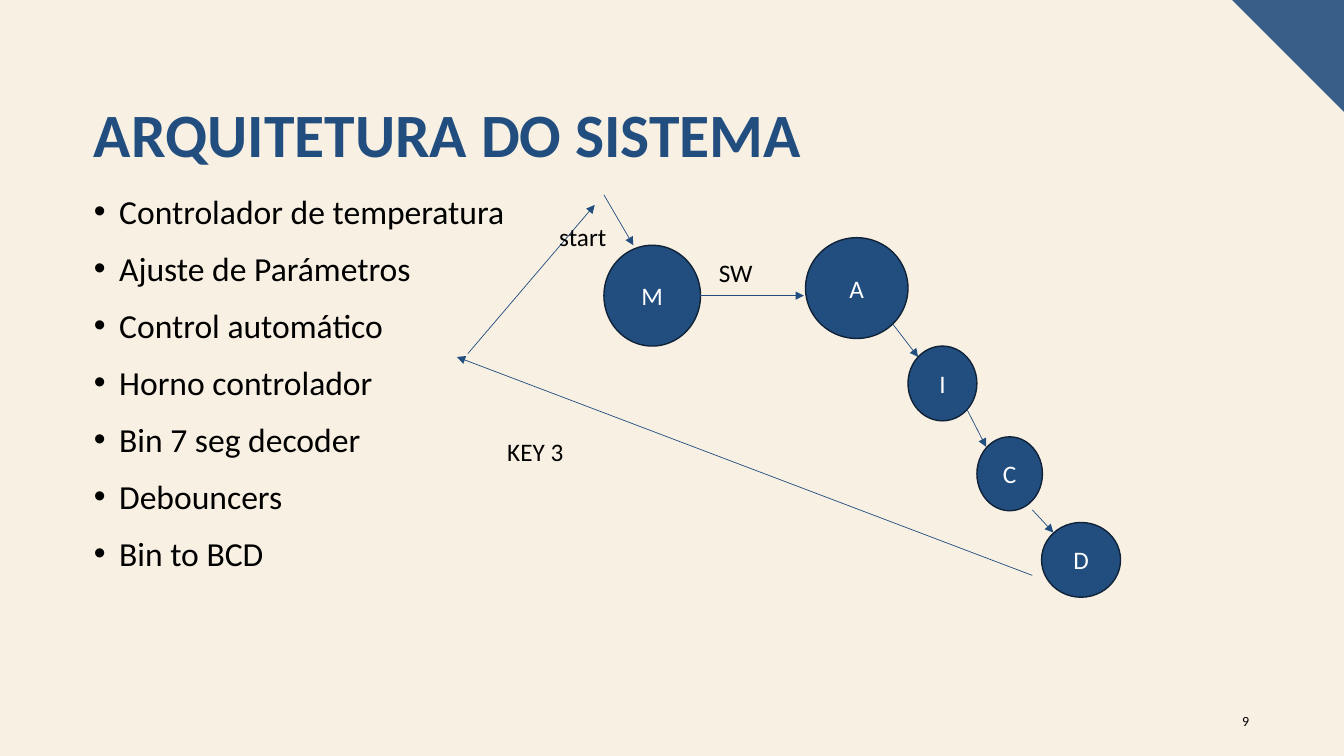
"""Build the system architecture slide with its module list and state diagram."""
from lxml.etree import SubElement
from pptx import Presentation
from pptx.dml.color import RGBColor
from pptx.enum.shapes import MSO_CONNECTOR, MSO_SHAPE
from pptx.enum.text import MSO_ANCHOR, PP_ALIGN
from pptx.oxml.ns import qn
from pptx.util import Inches, Pt

CELL = Inches(1 / 12)
COLUMNS, ROWS = 160, 90
MARGIN = 10
CORNER = 13.33
LABEL_HEIGHT = 4.8

CREAM, NAVY, STEEL = "F8F0E3", "224E7F", "385E88"
OUTLINE, BLACK, WHITE = "0F2238", "000000", "FFFFFF"

MODULES = [
    "Controlador de temperatura",
    "Ajuste de Parámetros",
    "Control automático",
    "Horno controlador",
    "Bin 7 seg decoder",
    "Debouncers",
    "Bin to BCD",
]
STATES = [
    ("M", 71.9, 29.2, 11.5, 12),
    ("A", 95.9, 28.3, 12.2, 12),
    ("I", 108.1, 41.2, 8.2, 8.9),
    ("C", 116.3, 52, 7.8, 8.8),
    ("D", 124, 62.2, 9.4, 8.9),
]
TRANSITIONS = [
    (71.9, 23.2, 75.4, 29.2),
    (83.3, 35.2, 95.7, 35.2),
    (106.3, 38.6, 109.3, 42.5),
    (115.1, 48.7, 117.4, 53.2),
    (122.9, 60.7, 125.4, 63.4),
    (122.9, 68.5, 54.4, 42.5),
    (55.7, 42.1, 70.8, 24.4),
]
LABELS = [
    ("start", 65.4, 25.8, 13.2),
    ("SW", 84.4, 30.1, 10.1),
    ("KEY 3", 59.2, 51.4, 10.4),
]


def grid(*cells):
    """Turn grid columns and rows into slide lengths."""
    return [round(cell * CELL) for cell in cells]


def color(code):
    """Return the colour for a hex string."""
    return RGBColor.from_string(code)


def format_text(text_frame, size, code, bold=False):
    """Give every run the same font."""
    for paragraph in text_frame.paragraphs:
        for run in paragraph.runs:
            run.font.name = "Calibri"
            run.font.size = Pt(size)
            run.font.bold = bold
            run.font.color.rgb = color(code)


def add_text(slide, text, box, size, code=BLACK, bold=False):
    """Add a wrapping text box and return its text frame."""
    text_frame = slide.shapes.add_textbox(*grid(*box)).text_frame
    text_frame.word_wrap = True
    text_frame.text = text
    format_text(text_frame, size, code, bold)
    return text_frame


def add_bullets(slide, items, box):
    """Add a bulleted list with hanging indents."""
    text_frame = add_text(slide, "\n".join(items), box, 24)
    for paragraph in text_frame.paragraphs:
        paragraph.space_after = Pt(12)
        properties = paragraph._p.get_or_add_pPr()
        properties.set("marL", str(Inches(0.25)))
        properties.set("indent", str(-Inches(0.25)))
        SubElement(properties, qn("a:buFont")).set("typeface", "Arial")
        SubElement(properties, qn("a:buChar")).set("char", "•")


def add_state(slide, name, *box):
    """Add one state as a labelled ellipse."""
    shape = slide.shapes.add_shape(MSO_SHAPE.OVAL, *grid(*box))
    shape.shadow.inherit = False
    shape.fill.solid()
    shape.fill.fore_color.rgb = color(NAVY)
    shape.line.color.rgb = color(OUTLINE)
    shape.line.width = Pt(1)
    text_frame = shape.text_frame
    text_frame.text = name
    text_frame.vertical_anchor = MSO_ANCHOR.MIDDLE
    text_frame.paragraphs[0].alignment = PP_ALIGN.CENTER
    format_text(text_frame, 18, WHITE)


def add_arrow(slide, *ends):
    """Add a thin arrow pointing at its second end."""
    arrow = slide.shapes.add_connector(MSO_CONNECTOR.STRAIGHT, *grid(*ends))
    arrow.line.color.rgb = color(NAVY)
    arrow.line.width = Pt(0.5)
    SubElement(arrow.line._get_or_add_ln(), qn("a:tailEnd")).set("type", "triangle")
    SubElement(arrow._element.spPr, qn("a:effectLst"))


def add_corner(slide):
    """Add the triangle in the top right corner."""
    left = COLUMNS - CORNER
    builder = slide.shapes.build_freeform(*grid(left, 0))
    builder.add_line_segments([grid(COLUMNS, 0), grid(COLUMNS, CORNER)], close=True)
    shape = builder.convert_to_shape()
    shape.shadow.inherit = False
    shape.fill.solid()
    shape.fill.fore_color.rgb = color(STEEL)
    shape.line.fill.background()


def main():
    """Compose and save the slide."""
    presentation = Presentation()
    presentation.slide_width, presentation.slide_height = grid(COLUMNS, ROWS)
    slide = presentation.slides.add_slide(presentation.slide_layouts[6])
    slide.background.fill.solid()
    slide.background.fill.fore_color.rgb = color(CREAM)

    add_corner(slide)
    title_box = (MARGIN, 11.8, COLUMNS - 2 * MARGIN, 17.4)
    title = add_text(slide, "ARQUITETURA DO SISTEMA", title_box, 44, NAVY, True)
    title.paragraphs[0].line_spacing = 0.9
    add_bullets(slide, MODULES, (MARGIN, 22.1, 127.6, 58.7))

    number = add_text(slide, "9", (143.9, 83.4, 6, LABEL_HEIGHT), 10)
    number.vertical_anchor = MSO_ANCHOR.MIDDLE
    number.paragraphs[0].alignment = PP_ALIGN.RIGHT

    for state in STATES:
        add_state(slide, *state)
    for transition in TRANSITIONS:
        add_arrow(slide, *transition)
    for text, left, top, width in LABELS:
        add_text(slide, text, (left, top, width, LABEL_HEIGHT), 18)

    presentation.save("out.pptx")


if __name__ == "__main__":
    main()
